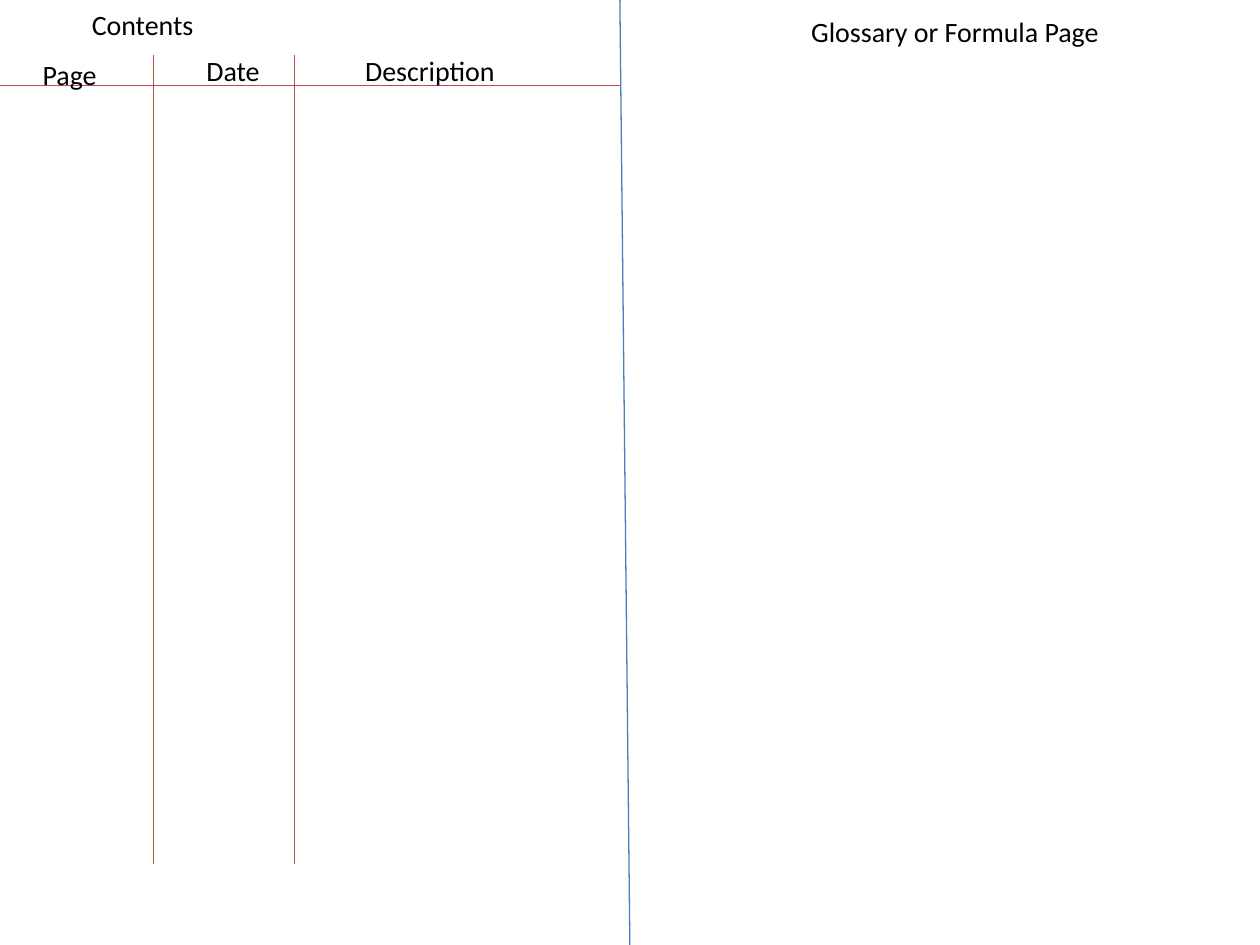
import pptx
import pptx.util
import pptx.dml.color
import pptx.enum.shapes
import pptx.enum.text
import pptx.oxml.ns
from lxml import etree

BLUE = pptx.dml.color.RGBColor(0x4B, 0x7E, 0xBC)
RED = pptx.dml.color.RGBColor(0xBF, 0x4C, 0x48)
BLACK = pptx.dml.color.RGBColor(0, 0, 0)

SLIDE_WIDTH, SLIDE_HEIGHT = 10, 7.5
PAGE_EDGE = 4.92
HEADER_RULE = 0.68
COLUMN_EDGES = (1.22, 2.34)
COLUMN_TOP, COLUMN_BOTTOM = 0.44, 6.86
LABEL_HEIGHT = 0.37

LABELS = (
    ("Contents", 0.63, 0.01, 1.02, False),
    ("Page", 0.24, 0.41, 0.64, False),
    ("Date", 1.54, 0.38, 0.63, False),
    ("Description", 2.8, 0.38, 1.53, True),
    ("Glossary or Formula Page", 6.34, 0.07, 2.83, True),
)


def add_rule(slide, start, end, color):
    points = [pptx.util.Inches(value) for value in (*start, *end)]
    rule = slide.shapes.add_connector(pptx.enum.shapes.MSO_CONNECTOR.STRAIGHT, *points)
    rule.line.color.rgb = color
    rule.line.width = pptx.util.Pt(0.75)
    properties = rule._element.spPr
    etree.SubElement(properties, pptx.oxml.ns.qn("a:effectLst"))


def add_label(slide, text, left, top, width, wrap):
    bounds = [pptx.util.Inches(value) for value in (left, top, width, LABEL_HEIGHT)]
    frame = slide.shapes.add_textbox(*bounds).text_frame
    frame.word_wrap = wrap
    frame.auto_size = pptx.enum.text.MSO_AUTO_SIZE.SHAPE_TO_FIT_TEXT
    paragraph = frame.paragraphs[0]
    paragraph.text = text
    paragraph.font.name = "Calibri"
    paragraph.font.size = pptx.util.Pt(16)
    paragraph.font.color.rgb = BLACK


def main():
    presentation = pptx.Presentation()
    presentation.slide_width = pptx.util.Inches(SLIDE_WIDTH)
    presentation.slide_height = pptx.util.Inches(SLIDE_HEIGHT)
    slide = presentation.slides.add_slide(presentation.slide_layouts[6])

    add_rule(slide, (PAGE_EDGE, 0), (SLIDE_WIDTH / 2, 7.61), BLUE)
    add_rule(slide, (-0.16, HEADER_RULE), (PAGE_EDGE, HEADER_RULE), RED)
    for edge in COLUMN_EDGES:
        add_rule(slide, (edge, COLUMN_TOP), (edge, COLUMN_BOTTOM), RED)
    for label in LABELS:
        add_label(slide, *label)

    presentation.save("out.pptx")


if __name__ == "__main__":
    main()
